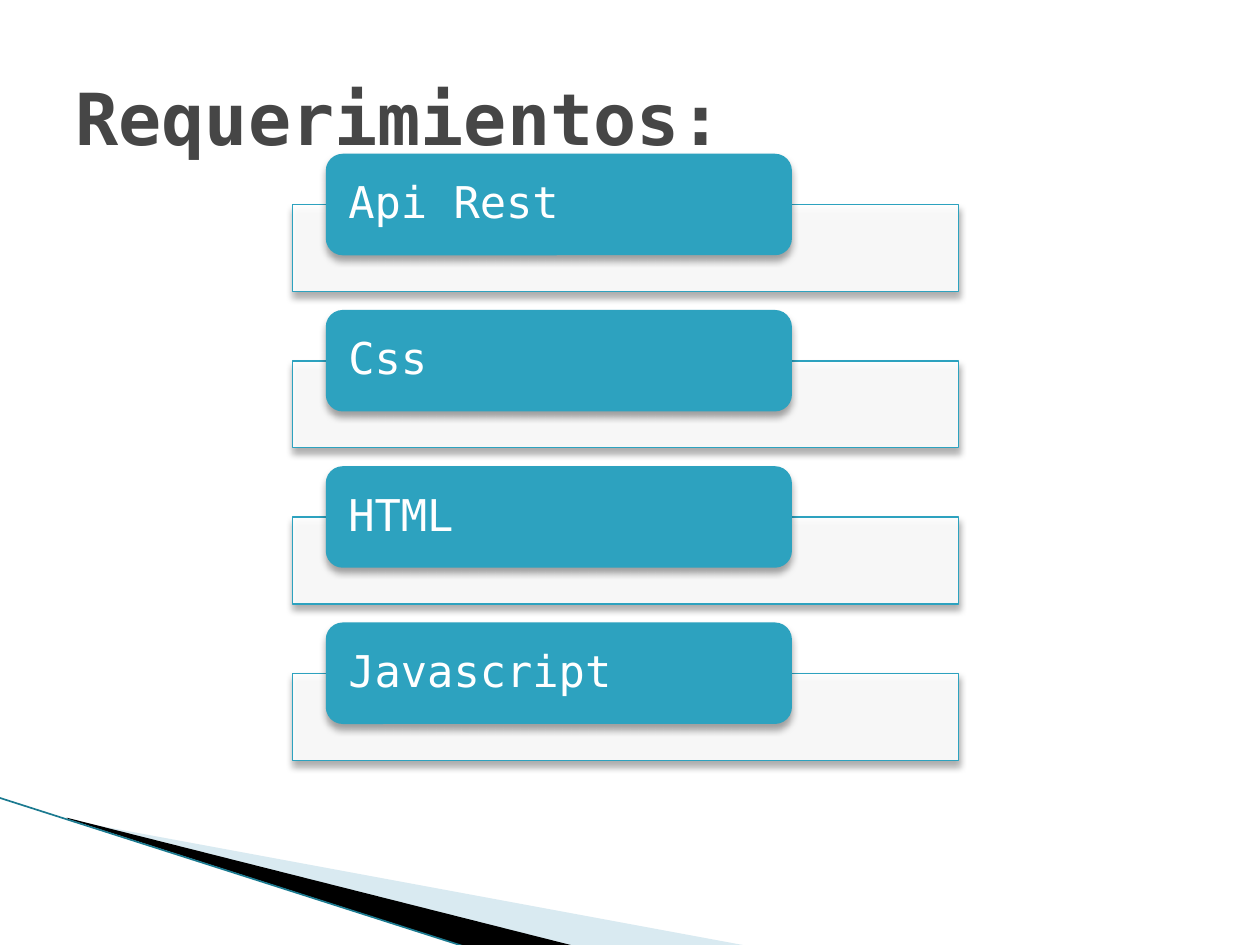
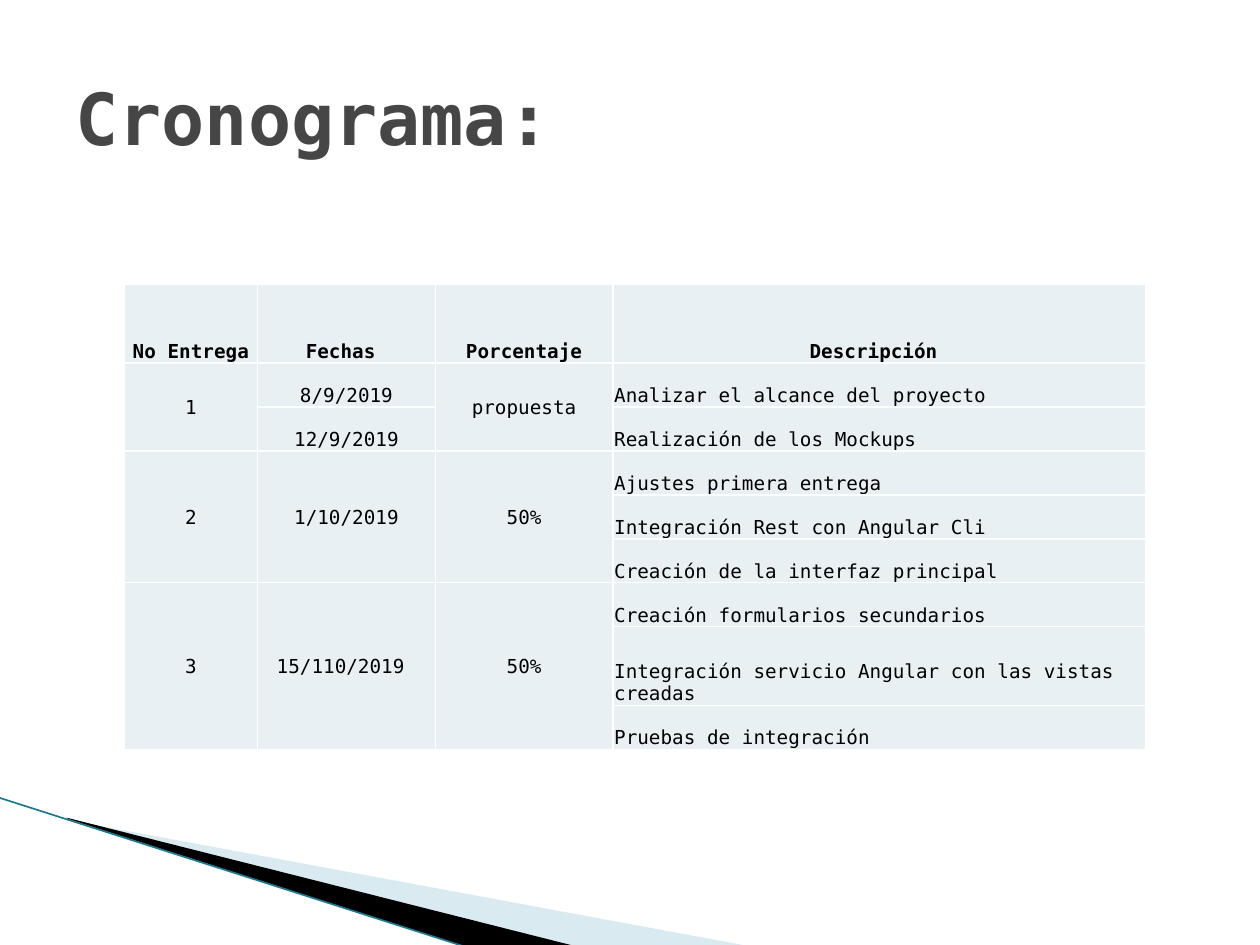
from dataclasses import dataclass

from lxml import etree
from pptx import Presentation
from pptx import util as u
from pptx.dml import color
from pptx.enum import shapes, text
from pptx.oxml import ns, parse_xml


@dataclass(frozen=True)
class Theme:
    font: str = "DejaVu Sans Mono"
    title_size: float = 41
    label_size: float = 25
    table_size: float = 11
    title: str = "464646"
    accent: str = "2DA2BF"
    edge: str = "1B7A90"
    pale: str = "A0CBDC"
    cell: str = "E8F0F4"
    black: str = "000000"
    white: str = "FFFFFF"


theme = Theme()
rgb = color.RGBColor.from_string
namespace = 'xmlns:a="http://schemas.openxmlformats.org/drawingml/2006/main"'


def add_run(paragraph, words, size, colour, bold=False):
    run = paragraph.add_run()
    run.text = words
    run.font.name = theme.font
    run.font.size = u.Pt(size)
    run.font.bold = bold
    run.font.color.rgb = rgb(colour)


def paint(shape, colour, opacity=100, shadow=False):
    shape.shadow.inherit = False
    shape.line.fill.background()
    shape.fill.solid()
    shape.fill.fore_color.rgb = rgb(colour)
    if opacity < 100:
        fill_colour = shape.fill._xPr.find(".//" + ns.qn("a:srgbClr"))
        etree.SubElement(fill_colour, ns.qn("a:alpha"), val=str(opacity * 1000))
    if shadow:
        effects = shape._element.spPr.find(ns.qn("a:effectLst"))
        effects.append(parse_xml(
            f'<a:outerShdw {namespace} blurRad="{u.Pt(4)}" dist="{u.Pt(3)}" dir="5400000" '
            f'rotWithShape="0"><a:srgbClr val="{theme.black}"><a:alpha val="35000"/>'
            '</a:srgbClr></a:outerShdw>'))


presentation = Presentation()
presentation.slide_width = u.Inches(10)
presentation.slide_height = u.Inches(7.5)
column = presentation.slide_width // 100
row = presentation.slide_height // 75

wedges = [
    (theme.pale, 40, (7.8, 54.7, 41.6, 15.8),
     [(5.5, 65.1), (59.5, 75.1), (45.6, 75.1), (5.5, 65)]),
    (theme.black, 100, (-0.6, 63.3, 41.6, 9.2),
     [(5.3, 64.9), (45.7, 75.1), (37.2, 75.2), (5.4, 65)]),
]
slides = []
for title in ["Requerimientos:", "Cronograma:"]:
    slide = presentation.slides.add_slide(presentation.slide_layouts[6])
    slides.append(slide)
    for colour, opacity, (left, top, width, height), corners in wedges:
        points = [(x * column, y * row) for x, y in corners]
        builder = slide.shapes.build_freeform(*points[0])
        builder.add_line_segments(points[1:])
        wedge = builder.convert_to_shape()
        paint(wedge, colour, opacity)
        shift_x, shift_y = wedge.left - int(left * column), wedge.top - int(top * row)
        wedge.left, wedge.top = int(left * column), int(top * row)
        wedge.width, wedge.height = int(width * column), int(height * row)
        outline = wedge._element.find(".//" + ns.qn("a:pathLst"))[0]
        outline.set("w", str(wedge.width))
        outline.set("h", str(wedge.height))
        for point in outline.iter(ns.qn("a:pt")):
            point.set("x", str(int(point.get("x")) + shift_x))
            point.set("y", str(int(point.get("y")) + shift_y))
    edge = slide.shapes.add_connector(
        shapes.MSO_CONNECTOR.STRAIGHT, int(-0.1 * column), int(63.3 * row),
        int(37.1 * column), int(75.2 * row))
    edge.line.color.rgb = rgb(theme.edge)
    edge.line.width = u.Pt(0.95)
    etree.SubElement(edge._element.spPr, ns.qn("a:effectLst"))
    title_box = slide.shapes.add_textbox(5 * column, 3 * row, 90 * column, int(12.5 * row))
    title_frame = title_box.text_frame
    title_frame.word_wrap = True
    title_frame.vertical_anchor = text.MSO_ANCHOR.MIDDLE
    add_run(title_frame.paragraphs[0], title, theme.title_size, theme.title, True)

requirements_slide, schedule_slide = slides

for index, requirement in enumerate(["Api Rest", "Css", "HTML", "Javascript"]):
    top = 12.2 + 12.4 * index
    panel = requirements_slide.shapes.add_shape(
        shapes.MSO_SHAPE.RECTANGLE,
        int(23.2 * column), int((top + 4.04) * row), int(52.9 * column), int(6.9 * row))
    paint(panel, theme.white, 90, shadow=True)
    panel.line.color.rgb = rgb(theme.accent)
    panel.line.width = u.Pt(0.75)
    label = requirements_slide.shapes.add_shape(
        shapes.MSO_SHAPE.ROUNDED_RECTANGLE,
        int(25.86 * column), int(top * row), 37 * column, int(8.06 * row))
    paint(label, theme.accent, shadow=True)
    frame = label.text_frame
    frame.word_wrap = True
    frame.vertical_anchor = text.MSO_ANCHOR.MIDDLE
    frame.margin_left = frame.margin_right = u.Inches(0.14)
    frame.margin_top = frame.margin_bottom = 0
    paragraph = frame.paragraphs[0]
    paragraph.alignment = text.PP_ALIGN.LEFT
    paragraph.line_spacing = 0.9
    add_run(paragraph, requirement, theme.label_size, theme.white)

headings = ["No Entrega", "Fechas ", "Porcentaje", "Descripción "]
deliveries = [
    (["1"], ["8/9/2019", "12/9/2019"], ["propuesta"],
     ["Analizar el alcance del proyecto", "Realización de los Mockups"]),
    (["2"], ["1/10/2019"], ["50%"],
     ["Ajustes primera entrega", "Integración Rest con Angular Cli",
      "Creación de la interfaz principal"]),
    (["3"], ["15/110/2019 "], ["50%"],
     ["Creación formularios secundarios",
      "Integración servicio Angular con las vistas creadas", "Pruebas de integración"]),
]
column_widths = [10.6, 14.1, 14.1, 42.3]
row_heights = [6.25] + [3.49] * 6 + [6.25, 3.49]
table = schedule_slide.shapes.add_table(
    len(row_heights), len(column_widths), int(9.85 * column), int(22.56 * row),
    int(sum(column_widths) * column), int(sum(row_heights) * row)).table
table.first_row = table.horz_banding = False
for table_column, width in zip(table.columns, column_widths):
    table_column.width = int(width * column)
for table_row, height in zip(table.rows, row_heights):
    table_row.height = int(height * row)

for cell in table.iter_cells():
    properties = cell._tc.get_or_add_tcPr()
    for side in "LRTB":
        properties.append(parse_xml(
            f'<a:ln{side} {namespace} w="{u.Pt(1)}"><a:solidFill>'
            f'<a:srgbClr val="{theme.white}"/></a:solidFill></a:ln{side}>'))
    cell.fill.solid()
    cell.fill.fore_color.rgb = rgb(theme.cell)
    cell.margin_left = cell.margin_right = cell.margin_top = u.Inches(0.01)
    cell.margin_bottom = 0
    cell.vertical_anchor = text.MSO_ANCHOR.BOTTOM

first = 0
for delivery in [[[heading] for heading in headings], *deliveries]:
    span = len(delivery[-1])
    for position, entries in enumerate(delivery):
        if len(entries) < span:
            merged = table.cell(first, position)
            merged.merge(table.cell(first + span - 1, position))
            merged.vertical_anchor = text.MSO_ANCHOR.MIDDLE
        for offset, entry in enumerate(entries):
            paragraph = table.cell(first + offset, position).text_frame.paragraphs[0]
            if first == 0 or position < len(headings) - 1:
                paragraph.alignment = text.PP_ALIGN.CENTER
            add_run(paragraph, entry, theme.table_size, theme.black, first == 0)
    first += span

presentation.save("out.pptx")
